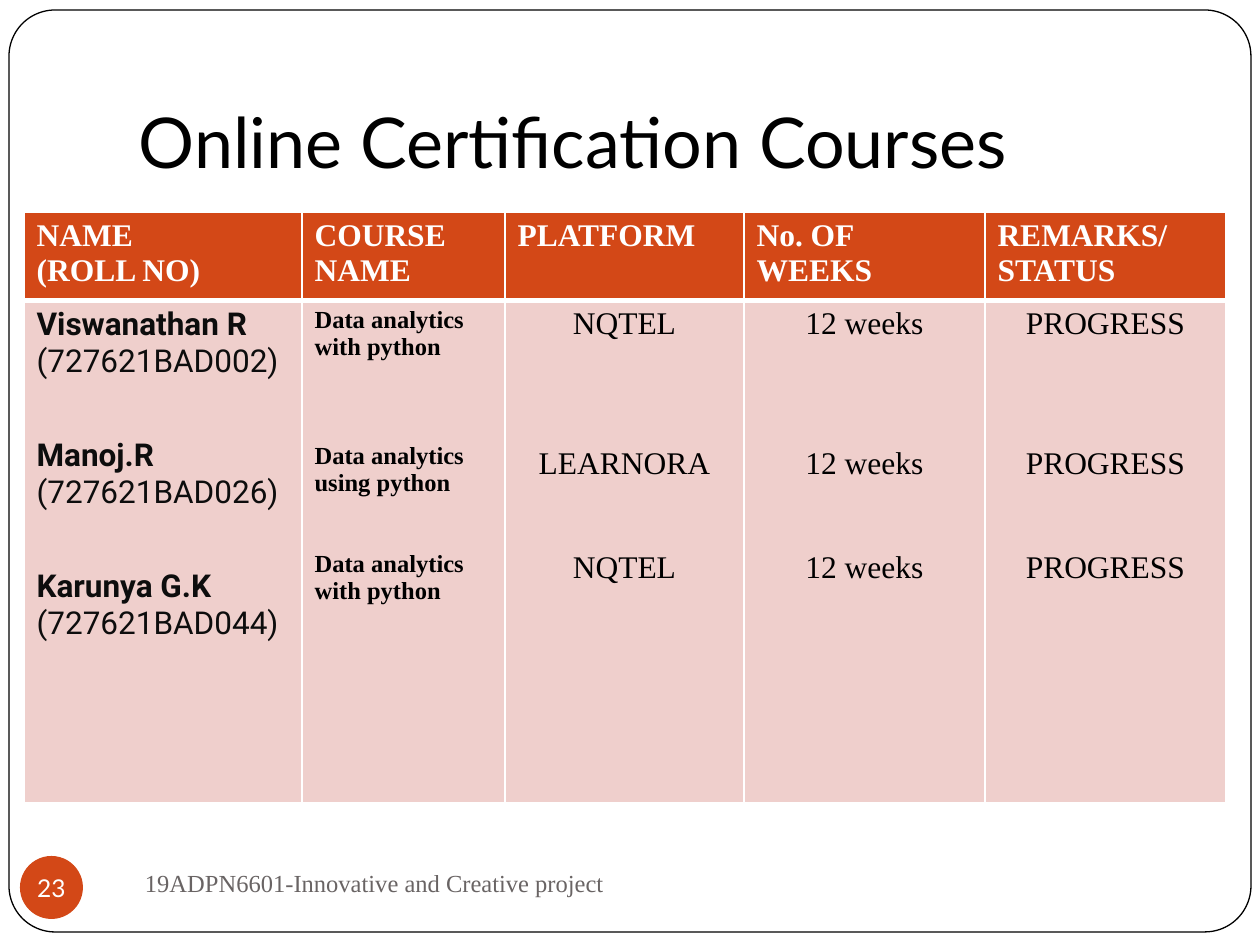
"""Build the online certification courses slide."""
from lxml import etree
from pptx import Presentation
from pptx import util as u
from pptx.dml.color import RGBColor
from pptx.enum import shapes, text
from pptx.oxml import ns

HUES = {"ink": "000000", "name": "0D0D0D", "white": "FFFFFF",
        "accent": "D34817", "pale": "EFCFCC", "gray": "696464"}
SERIF, SANS, HEAD = "Times New Roman", "Roboto", "Lato"
TITLE = "Online Certification Courses"
FOOTER = "19ADPN6601-Innovative and Creative project"
NUMBER = "23"
HEADS = ["NAME\n(ROLL NO)", "COURSE NAME", "PLATFORM", "No. OF WEEKS", "REMARKS/ STATUS"]
ROWS = [
    ("Viswanathan R", "(727621BAD002)", "Data analytics with python", "NQTEL", "12 weeks", "PROGRESS"),
    ("Manoj.R", "(727621BAD026)", "Data analytics using python", "LEARNORA", "12 weeks", "PROGRESS"),
    ("Karunya G.K", "(727621BAD044)", "Data analytics with python", "NQTEL", "12 weeks", "PROGRESS"),
]
WIDTHS = [278, 203, 239, 241, 241]
HEIGHTS = [81, 503]
GAPS = {"name": (0, 57, 57), "course": (0, 82, 54), "other": (0, 105, 69)}
LEFT, CENTER = text.PP_ALIGN.LEFT, text.PP_ALIGN.CENTER


def px(n):
    return u.Emu(round(n * 914400 / 126))


def hue(key):
    return RGBColor.from_string(HUES[key])


def style(font, face, size, key, bold=False):
    font.name, font.size, font.bold = face, u.Pt(size), bold
    font.color.rgb = hue(key)


def inset(frame, *sides):
    frame.margin_left, frame.margin_top, frame.margin_right, frame.margin_bottom = map(px, sides)


def write(frame, words, face, size, key, align=LEFT, bold=False):
    frame.text = words
    frame.word_wrap = True
    for para in frame.paragraphs:
        para.alignment = align
        style(para.font, face, size, key, bold)


def shape(slide, kind, box, fill):
    item = slide.shapes.add_shape(kind, *map(px, box))
    item.shadow.inherit = False
    item.fill.solid()
    item.fill.fore_color.rgb = hue(fill)
    return item


def paint(cell, fill, top, bottom):
    props = cell._tc.get_or_add_tcPr()
    for side, width in zip("LRTB", (1, 1, top, bottom)):
        line = etree.SubElement(props, ns.qn("a:ln" + side), w=str(u.Pt(width)))
        solid = etree.SubElement(line, ns.qn("a:solidFill"))
        etree.SubElement(solid, ns.qn("a:srgbClr"), val=HUES["white"])
    cell.fill.solid()
    cell.fill.fore_color.rgb = hue(fill)


def space(frame, gaps):
    for para, gap in zip(frame.paragraphs, gaps):
        para.space_before = px(gap)


def names(frame):
    for i, (name, roll, *_) in enumerate(ROWS):
        para = frame.paragraphs[0] if i == 0 else frame.add_paragraph()
        para.alignment = LEFT
        style(para.font, SANS, 18, "name")
        run = para.add_run()
        run.text = name
        run.font.bold = True
        para.add_line_break()
        para.add_run().text = roll
    space(frame, GAPS["name"])


def grid(slide):
    table = slide.shapes.add_table(2, len(HEADS), px(24), px(212),
                                   px(sum(WIDTHS)), px(sum(HEIGHTS))).table
    for row, height in zip(table.rows, HEIGHTS):
        row.height = px(height)
    for i, (head, width) in enumerate(zip(HEADS, WIDTHS)):
        table.columns[i].width = px(width)
        top, body = table.cell(0, i), table.cell(1, i)
        paint(top, "accent", 1, 3)
        paint(body, "pale", 3, 1)
        write(top.text_frame, head, SERIF, 18, "white", bold=True)
        if i == 0:
            names(body.text_frame)
            continue
        course = i == 1
        words = "\n".join(row[i + 1] for row in ROWS)
        write(body.text_frame, words, SERIF, 14 if course else 18, "ink",
              LEFT if course else CENTER, course)
        space(body.text_frame, GAPS["course" if course else "other"])


def main():
    deck = Presentation()
    deck.slide_width, deck.slide_height = px(1260), px(945)
    slide = deck.slides.add_slide(deck.slide_layouts[5])

    border = shape(slide, shapes.MSO_SHAPE.ROUNDED_RECTANGLE, (9, 10, 1242, 922), "white")
    border.adjustments[0] = 0.05
    border.line.color.rgb = hue("ink")
    border.line.width = u.Pt(0.75)
    slide.shapes.element.insert(2, border.element)

    title = slide.shapes.title
    title.left, title.top, title.width, title.height = map(px, (126, 38, 1071, 158))
    write(title.text_frame, TITLE, HEAD, 40, "ink")
    title.text_frame.auto_size = text.MSO_AUTO_SIZE.NONE
    title.text_frame.vertical_anchor = text.MSO_ANCHOR.BOTTOM
    inset(title.text_frame, 13, 6, 13, 13)

    badge = shape(slide, shapes.MSO_SHAPE.OVAL, (20, 856, 63, 63), "accent")
    badge.line.fill.background()
    write(badge.text_frame, NUMBER, HEAD, 14, "white", CENTER)
    badge.text_frame.vertical_anchor = text.MSO_ANCHOR.MIDDLE
    inset(badge.text_frame, 0, 0, 0, 0)

    foot = slide.shapes.add_textbox(*map(px, (126, 851, 617, 63))).text_frame
    write(foot, FOOTER, SERIF, 14, "gray")
    foot.vertical_anchor = text.MSO_ANCHOR.MIDDLE
    inset(foot, 19, 6, 13, 6)

    grid(slide)
    deck.save("out.pptx")


if __name__ == "__main__":
    main()
